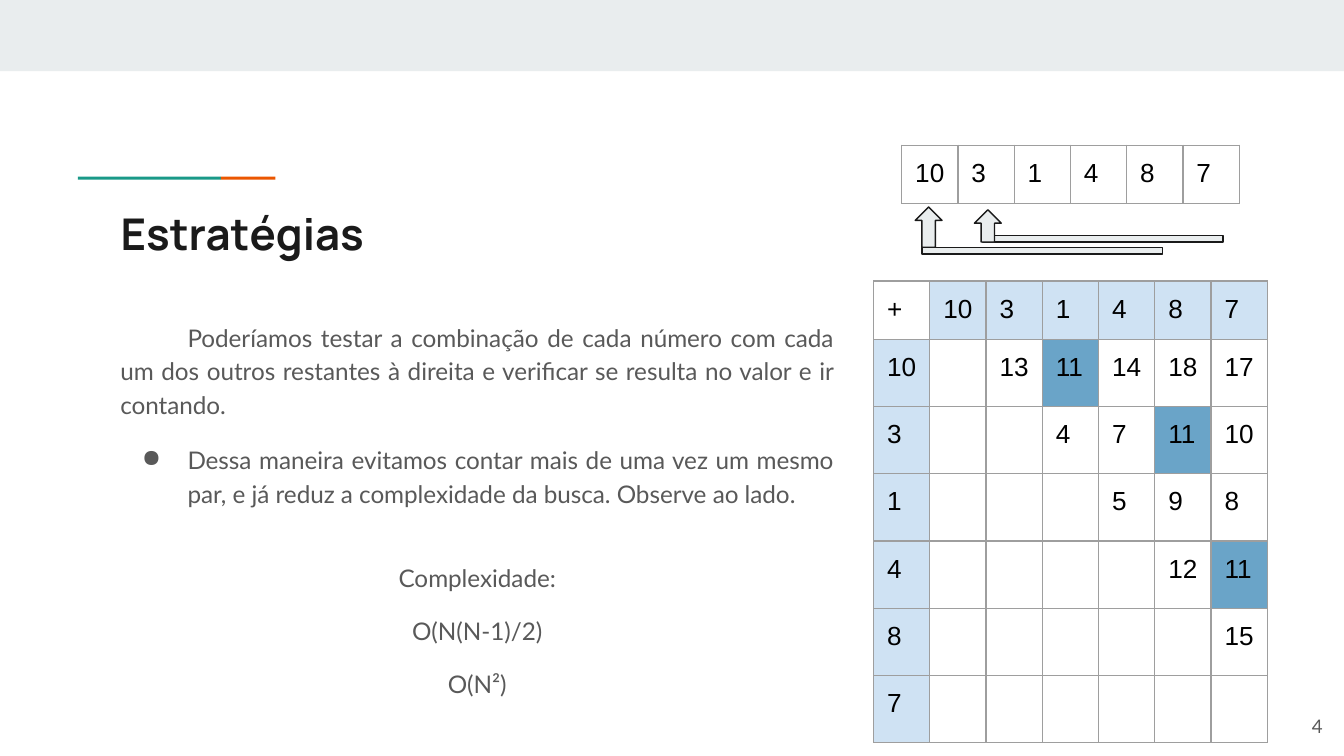
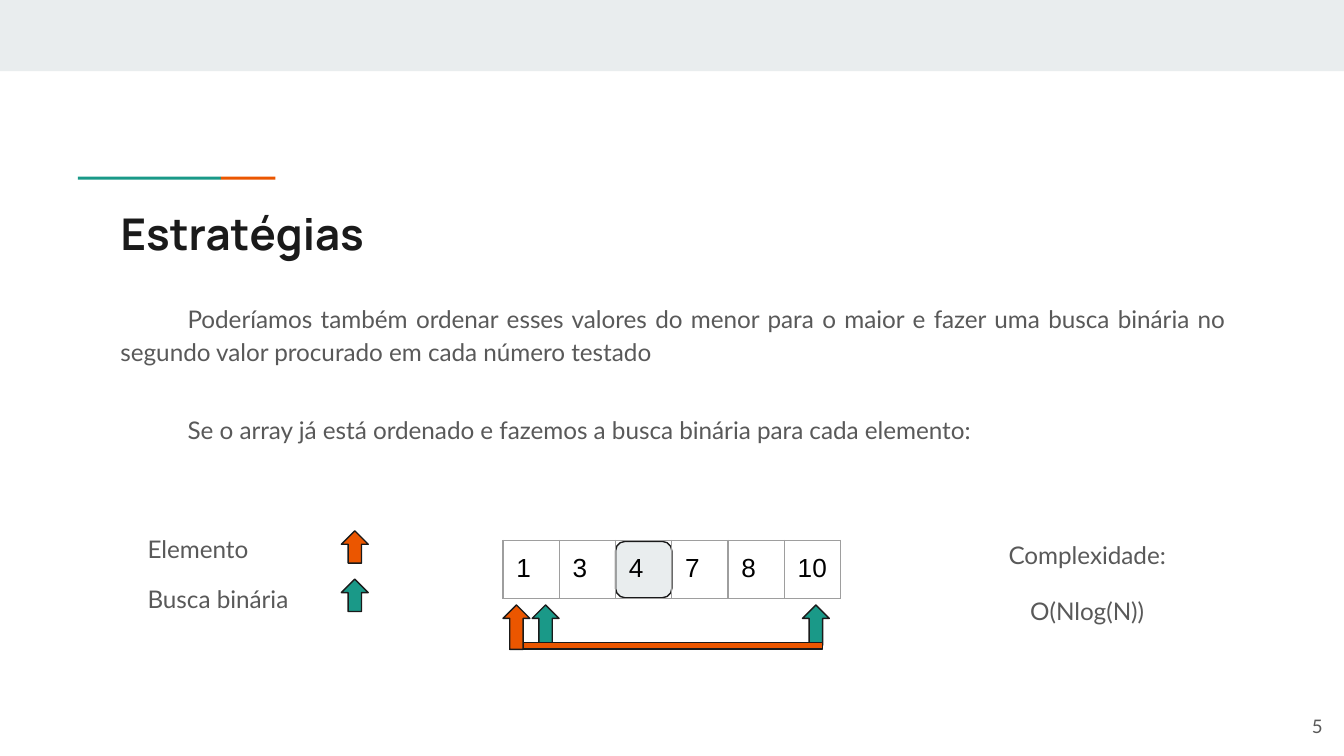
from lxml.etree import SubElement
from pptx import Presentation
from pptx.dml.color import RGBColor
from pptx.enum.shapes import MSO_SHAPE
from pptx.enum.text import MSO_ANCHOR, PP_ALIGN
from pptx.oxml import parse_xml
from pptx.oxml.ns import nsdecls, qn
from pptx.util import Pt

COLORS = {
    "band": "E9EDEE", "teal": "1A9988", "orange": "EB5600", "ink": "1A1A1A",
    "body": "595959", "black": "000000", "white": "FFFFFF", "grid": "9E9E9E",
    "header": "CFE2F3", "match": "6AA4C8",
}
CELL = 30.15       # side of an array cell
SUM_ROW = 34.6     # height of a row of sums
TARGET = 11        # sum being searched for
INSET = 7.2
INDENT = 36


def rgb(name):
    return RGBColor.from_string(COLORS[name])


def write(tf, text, size=13, font="Lato", color="body", bold=False,
          align=PP_ALIGN.LEFT, line=1.0, before=0, after=0,
          margin=0, indent=0, bullet=None, first=True):
    """Put one formatted paragraph into a text frame."""
    p = tf.paragraphs[0] if first else tf.add_paragraph()
    p.alignment, p.line_spacing = align, line
    p.space_before, p.space_after = Pt(before), Pt(after)
    pPr = p._p.get_or_add_pPr()
    pPr.set("marL", str(Pt(margin)))
    pPr.set("indent", str(Pt(indent)))
    if bullet:
        SubElement(pPr, qn("a:buChar")).set("char", bullet)
    r = p.add_run()
    r.text = text
    r.font.size, r.font.name, r.font.bold = Pt(size), font, bold
    r.font.color.rgb = rgb(color)


def set_frame(tf, anchor=MSO_ANCHOR.TOP):
    tf.word_wrap, tf.vertical_anchor = True, anchor
    tf.margin_left = tf.margin_right = Pt(INSET)
    tf.margin_top = tf.margin_bottom = Pt(INSET)


def add_text(slide, box, paragraphs, anchor=MSO_ANCHOR.TOP, **common):
    """Add a text box; each paragraph is a pair of text and own format."""
    tf = slide.shapes.add_textbox(*map(Pt, box)).text_frame
    set_frame(tf, anchor)
    for i, (text, own) in enumerate(paragraphs):
        write(tf, text, first=i == 0, **{**common, **own})


def add_block(slide, kind, box, fill, outlined=True):
    sp = slide.shapes.add_shape(kind, *map(Pt, box))
    sp.shadow.inherit = False
    sp.fill.solid()
    sp.fill.fore_color.rgb = rgb(fill)
    if outlined:
        sp.line.color.rgb, sp.line.width = rgb("ink"), Pt(0.75)
    else:
        sp.line.fill.background()
    return sp


def add_parts(slide, origin, parts):
    """Place (kind, x, y, width, height, fill) parts relative to an origin."""
    for kind, x, y, w, h, fill in parts:
        add_block(slide, kind, (origin[0] + x, origin[1] + y, w, h), fill)


def format_cell(cell, text, fill):
    tcPr = cell._tc.get_or_add_tcPr()
    for side in ("lnL", "lnR", "lnT", "lnB"):
        tcPr.append(parse_xml(
            f'<a:{side} {nsdecls("a")} w="{Pt(0.75)}"><a:solidFill>'
            f'<a:srgbClr val="{COLORS["grid"]}"/></a:solidFill></a:{side}>'))
    if fill:
        cell.fill.solid()
        cell.fill.fore_color.rgb = rgb(fill)
    else:
        cell.fill.background()
    cell.margin_left = cell.margin_right = Pt(INSET)
    cell.margin_top = cell.margin_bottom = Pt(INSET)
    if text:
        write(cell.text_frame, text, size=14, font="Arial", color="black")


def add_grid(slide, origin, rows, heights):
    """Add a table from rows of (text, fill) pairs."""
    n = len(rows[0])
    table = slide.shapes.add_table(
        len(rows), n, *map(Pt, (*origin, n * CELL, sum(heights)))).table
    table.first_row = table.horz_banding = False
    for col in table.columns:
        col.width = Pt(CELL)
    for i, row in enumerate(rows):
        table.rows[i].height = Pt(heights[i])
        for j, (text, fill) in enumerate(row):
            format_cell(table.cell(i, j), text, fill)


def add_array(slide, origin, values):
    add_grid(slide, origin, [[(str(v), None) for v in values]], [CELL])


def add_sums(slide, origin, values):
    """Sum each value with those to its right and mark the matches."""
    rows = [[("+", "white")] + [(str(v), "header") for v in values]]
    for i, a in enumerate(values):
        row = [(str(a), "header")]
        for j, b in enumerate(values):
            text = str(a + b) if j > i else ""
            row.append((text, "match" if text == str(TARGET) else None))
        rows.append(row)
    add_grid(slide, origin, rows, [CELL] + [SUM_ROW] * len(values))


def add_legend(slide, box):
    add_text(slide, box, [("Elemento", {}),
                          ("Busca binária", dict(before=12, after=12))], line=0.95)
    add_parts(slide, box, [(MSO_SHAPE.UP_ARROW, 110.9, 4.3, 14.4, 17.3, "orange"),
                           (MSO_SHAPE.UP_ARROW, 110.9, 30.2, 14.4, 17.3, "teal")])


def add_complexity(slide, box, formulas, line):
    add_text(slide, box, [("Complexidade:", {})]
             + [(f, dict(before=12)) for f in formulas],
             align=PP_ALIGN.CENTER, line=line)


def new_slide(prs, title, number):
    """Title-only slide with band, accent line, title and page number."""
    slide = prs.slides.add_slide(prs.slide_layouts[5])
    for box, fill in (((0, 0, 720, 38.2), "band"),
                      ((41.8, 94.7, 76.6, 1.6), "teal"),
                      ((118.4, 94.7, 29.2, 1.6), "orange")):
        add_block(slide, MSO_SHAPE.RECTANGLE, box, fill, outlined=False)
    sp = slide.shapes.title
    sp.left, sp.top, sp.width, sp.height = map(Pt, (57.4, 103.7, 605.5, 42.5))
    set_frame(sp.text_frame)
    write(sp.text_frame, title, size=23.4, font="Manrope", color="ink", bold=True)
    add_text(slide, (672.5, 373.7, 43.2, 31), [(str(number), {})],
             anchor=MSO_ANCHOR.MIDDLE, size=10, align=PP_ALIGN.RIGHT)
    return slide


def build_pairs_slide(prs):
    """Every pair of numbers tested."""
    slide = new_slide(prs, "Estratégias", 4)
    values = [10, 3, 1, 4, 8, 7]
    add_text(slide, (57.4, 163.4, 396, 154.8), [
        ("Poderíamos testar a combinação de cada número com cada um dos outros "
         "restantes à direita e verificar se resulta no valor e ir contando.",
         dict(indent=INDENT)),
        ("Dessa maneira evitamos contar mais de uma vez um mesmo par, e já reduz "
         "a complexidade da busca. Observe ao lado.",
         dict(margin=INDENT, indent=-24.5, before=12, bullet="●")),
    ], align=PP_ALIGN.JUSTIFY, line=1.15)
    add_complexity(slide, (200.2, 293.8, 110.9, 88.6),
                   ["O(N(N-1)/2)", "O(N²)"], 1.05)
    add_sums(slide, (468, 150.5), values)

    # Array with one pointer and range bar per tested number
    array = (483.1, 77.8)
    add_array(slide, array, values)
    add_parts(slide, array, [
        (MSO_SHAPE.RECTANGLE, 43.2, 48.2, 128.9, 3.6, "band"),
        (MSO_SHAPE.UP_ARROW, 7.2, 33.1, 14.4, 21.6, "band"),
        (MSO_SHAPE.UP_ARROW, 38.9, 34.6, 14.4, 17.3, "band"),
        (MSO_SHAPE.RECTANGLE, 10.8, 54.7, 128.9, 3.6, "band"),
    ])


def build_search_slide(prs):
    """Binary search over the sorted numbers."""
    slide = new_slide(prs, "Estratégias", 5)
    for top, height, text in (
            (153.4, 59.8, "Poderíamos também ordenar esses valores do menor para o "
             "maior e fazer uma busca binária no segundo valor procurado em cada "
             "número testado"),
            (213.1, 49.7, "Se o array já está ordenado e fazemos a busca binária "
             "para cada elemento:")):
        add_text(slide, (57.4, top, 605.5, height), [(text, {})],
                 align=PP_ALIGN.JUSTIFY, line=1.15, after=12, indent=INDENT)
    add_legend(slide, (72, 280.1, 144.7, 56.2))
    add_complexity(slide, (527, 280.1, 110.9, 73.4), ["O(Nlog(N))"], 1.15)

    # Sorted array: middle cell marked, search limits and element below
    array = (269.5, 289.5)
    add_parts(slide, array, [
        (MSO_SHAPE.UP_ARROW, 160.4, 34.6, 14.4, 21.6, "teal"),
        (MSO_SHAPE.UP_ARROW, 15.6, 34.6, 14.4, 21.6, "teal"),
        (MSO_SHAPE.RECTANGLE, 3.4, 54.6, 167.8, 3.6, "orange"),
        (MSO_SHAPE.ROUNDED_RECTANGLE, 2 * CELL, 0.6, CELL, CELL, "band"),
    ])
    add_array(slide, array, [1, 3, 4, 7, 8, 10])
    add_parts(slide, array, [(MSO_SHAPE.UP_ARROW, 0, 34.6, 14.4, 23.8, "orange")])


def main():
    prs = Presentation()
    prs.slide_width, prs.slide_height = Pt(720), Pt(405)
    build_pairs_slide(prs)
    build_search_slide(prs)
    prs.save("out.pptx")


if __name__ == "__main__":
    main()
